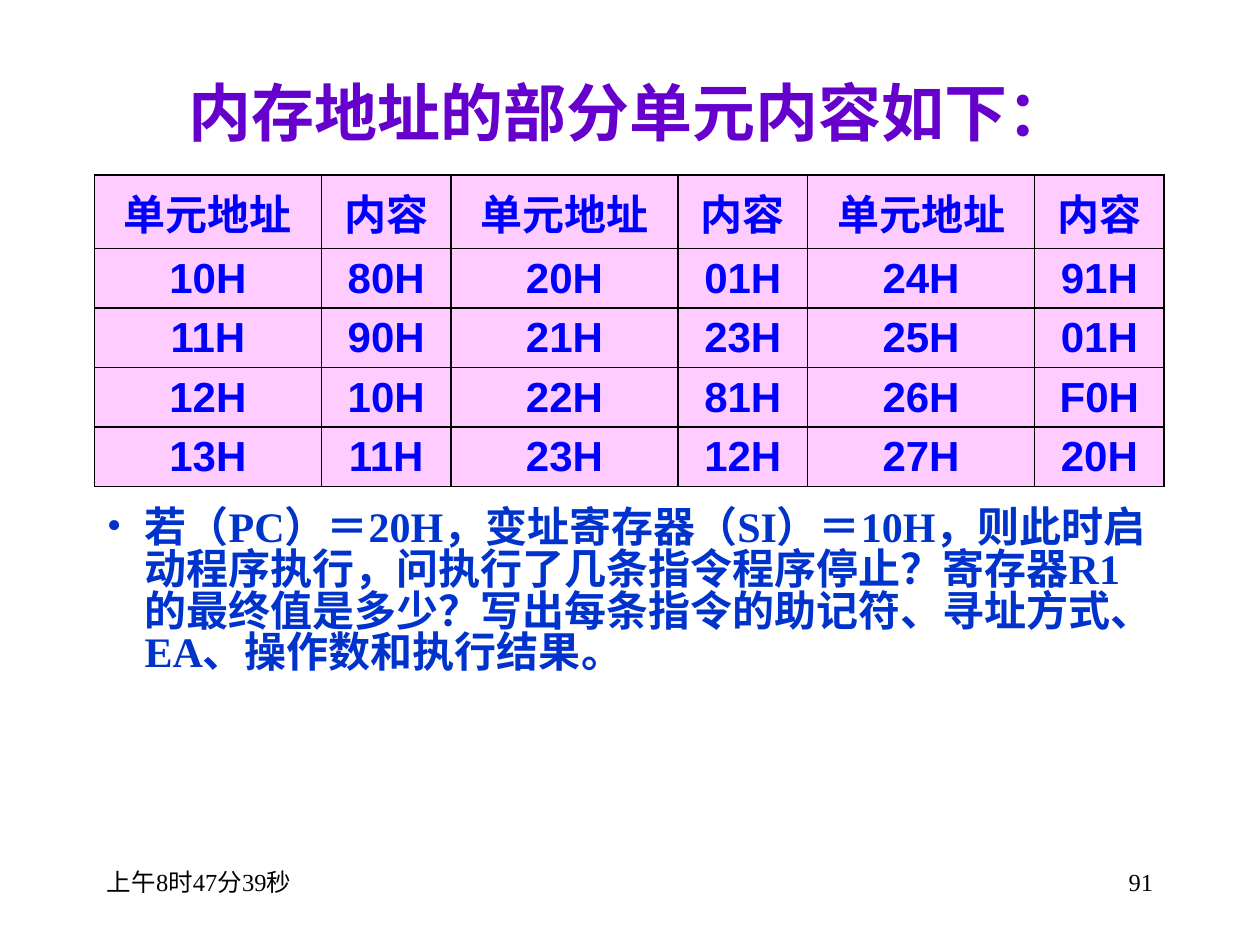
from lxml import etree
from pptx import Presentation
from pptx.dml.color import RGBColor
from pptx.enum.text import MSO_ANCHOR, PP_ALIGN
from pptx.oxml.ns import qn
from pptx.util import Inches, Pt

LEFT, MID, RIGHT = PP_ALIGN.LEFT, PP_ALIGN.CENTER, PP_ALIGN.RIGHT
TOP, CENTER = MSO_ANCHOR.TOP, MSO_ANCHOR.MIDDLE
PURPLE = RGBColor(0x66, 0x00, 0xCC)
BLUE = RGBColor(0x00, 0x00, 0xFF)
NAVY = RGBColor(0x00, 0x33, 0xCC)
BLACK = RGBColor(0, 0, 0)
PINK = RGBColor(0xFF, 0xCC, 0xFF)
SERIF, SANS = "Times New Roman", "Arial"

TITLE = "内存地址的部分单元内容如下："
TASK = ("若（PC）＝20H，变址寄存器（SI）＝10H，则此时启动程序执行，"
        "问执行了几条指令程序停止？寄存器R1的最终值是多少？"
        "写出每条指令的助记符、寻址方式、EA、操作数和执行结果。")
CELLS = [
    ["单元地址", "内容"] * 3,
    ["10H", "80H", "20H", "01H", "24H", "91H"],
    ["11H", "90H", "21H", "23H", "25H", "01H"],
    ["12H", "10H", "22H", "81H", "26H", "F0H"],
    ["13H", "11H", "23H", "12H", "27H", "20H"],
]
WIDTHS = [1.8, 1.03] * 3
ROW = 0.43

HEAD = dict(name=SERIF, size=Pt(36), bold=True, color=PURPLE)
DATA = dict(name=SANS, size=Pt(24), bold=True, color=BLUE)
BODY = dict(name=SERIF, size=Pt(24), bold=True, color=NAVY)
FOOT = dict(name=SERIF, size=Pt(14), bold=False, color=BLACK)

BOXES = [
    (TITLE, (0.75, 0.52, 8.5, 0.72), HEAD, MID, CENTER),
    (TASK, (0.75, 3.99, 8.5, 1.42), BODY, LEFT, TOP),
    ("上午8时47分39秒", (0.75, 6.83, 2.08, 0.5), FOOT, LEFT, TOP),
    ("91", (7.17, 6.83, 2.08, 0.5), FOOT, RIGHT, TOP),
]


def style(font, look):
    for key, value in look.items():
        if key == "color":
            font.color.rgb = value
        else:
            setattr(font, key, value)


def write(para, text, look, align):
    para.alignment = align
    run = para.add_run()
    run.text = text
    style(run.font, look)


def indent(para, size):
    props = para._p.get_or_add_pPr()
    props.set("marL", str(Inches(size)))
    props.set("indent", str(-Inches(size)))
    return props


def border(cell):
    props = cell._tc.get_or_add_tcPr()
    for side in ("lnL", "lnR", "lnT", "lnB"):
        line = etree.SubElement(props, qn("a:" + side), w=str(Pt(1)))
        fill = etree.SubElement(line, qn("a:solidFill"))
        etree.SubElement(fill, qn("a:srgbClr"), val=str(BLACK))


def add_box(slide, text, place, look, align, anchor):
    frame = slide.shapes.add_textbox(*map(Inches, place)).text_frame
    frame.word_wrap = True
    frame.vertical_anchor = anchor
    para = frame.paragraphs[0]
    if look is BODY:
        para.line_spacing = 0.83
        props = indent(para, 0.3)
        etree.SubElement(props, qn("a:buFont"), typeface=SERIF)
        etree.SubElement(props, qn("a:buChar"), char="•")
    write(para, text, look, align)


def add_grid(slide):
    place = map(Inches, (0.75, 1.39, 8.5, 2.5))
    table = slide.shapes.add_table(len(CELLS), len(WIDTHS), *place).table
    table.first_row = table.horz_banding = False
    for col, width in zip(table.columns, WIDTHS):
        col.width = Inches(width)
    for row, texts in zip(table.rows, CELLS):
        row.height = Inches(ROW)
        for cell, text in zip(row.cells, texts):
            border(cell)
            cell.fill.solid()
            cell.fill.fore_color.rgb = PINK
            cell.vertical_anchor = CENTER
            para = cell.text_frame.paragraphs[0]
            indent(para, 0.38)
            write(para, text, DATA, MID)


def main():
    deck = Presentation()
    deck.slide_width, deck.slide_height = Inches(10), Inches(7.5)
    slide = deck.slides.add_slide(deck.slide_layouts[6])
    add_grid(slide)
    for box in BOXES:
        add_box(slide, *box)
    deck.save("out.pptx")


if __name__ == "__main__":
    main()
